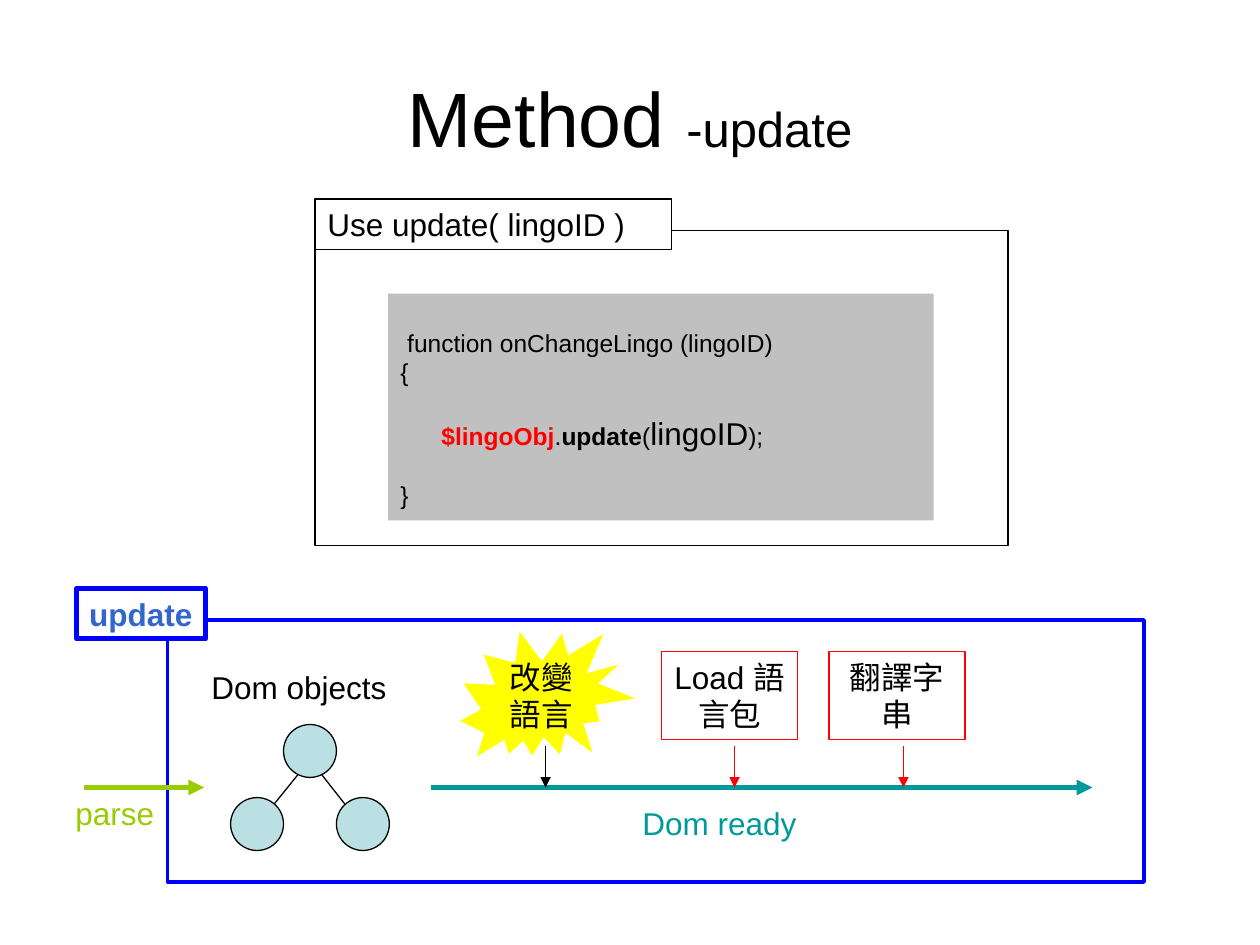
from dataclasses import dataclass
from typing import NamedTuple, Optional

from lxml.etree import SubElement
from pptx import Presentation
from pptx.dml.color import RGBColor as RGB
from pptx.enum.shapes import MSO_CONNECTOR as Conn, MSO_SHAPE as Shape
from pptx.enum.text import MSO_ANCHOR as Anchor, MSO_AUTO_SIZE as AutoSize, PP_ALIGN as Align
from pptx.oxml.ns import qn
from pptx.util import Inches, Pt


@dataclass(frozen=True)
class Theme:
    font: str = "Arial"
    title: int = 44
    subtitle: int = 28
    body: int = 18
    code: int = 14
    thin: float = 0.75
    medium: float = 2
    thick: float = 3
    black: str = "000000"
    white: str = "FFFFFF"
    grey: str = "C0C0C0"
    red: str = "FF0000"
    blue: str = "0000FF"
    label: str = "3366CC"
    yellow: str = "FFFF00"
    node: str = "BBE0E3"
    teal: str = "009999"
    green: str = "99CC00"


T = Theme()


class Run(NamedTuple):
    text: str
    size: int = T.body
    color: str = T.black
    bold: bool = False


class Box(NamedTuple):
    left: float
    top: float
    width: float
    height: float
    fill: Optional[str] = None
    line: Optional[str] = None
    weight: float = T.thin
    run: Optional[Run] = None
    align: Align = Align.LEFT
    kind: Shape = Shape.RECTANGLE
    wrap: bool = True
    rotation: float = 0


class Line(NamedTuple):
    x1: float
    y1: float
    x2: float
    y2: float
    color: str = T.black
    weight: float = T.thin
    arrow: bool = True


class CodeLine(NamedTuple):
    runs: list[Run]
    gap: float = 0


def add_run(p, run: Run) -> None:
    r = p.add_run()
    r.text = run.text
    r.font.name = T.font
    r.font.size = Pt(run.size)
    r.font.bold = run.bold
    r.font.color.rgb = RGB.from_string(run.color)


def add_box(s, box: Box):
    at = [Inches(v) for v in box[:4]]
    if box.fill or box.line:
        sp = s.shapes.add_shape(box.kind, *at)
        sp.shadow.inherit = False
    else:
        sp = s.shapes.add_textbox(*at)
    sp.rotation = box.rotation
    if box.fill:
        sp.fill.solid()
        sp.fill.fore_color.rgb = RGB.from_string(box.fill)
    else:
        sp.fill.background()
    if box.line:
        sp.line.color.rgb = RGB.from_string(box.line)
        sp.line.width = Pt(box.weight)
    else:
        sp.line.fill.background()
    tf = sp.text_frame
    tf.word_wrap = box.wrap
    tf.vertical_anchor = Anchor.TOP
    if box.run:
        tf.paragraphs[0].alignment = box.align
        add_run(tf.paragraphs[0], box.run)
    return sp


def add_line(s, line: Line) -> None:
    c = s.shapes.add_connector(Conn.STRAIGHT, *[Inches(v) for v in line[:4]])
    c.line.color.rgb = RGB.from_string(line.color)
    c.line.width = Pt(line.weight)
    if line.arrow:
        SubElement(c.line._get_or_add_ln(), qn("a:tailEnd"), type="triangle")
    SubElement(c._element.spPr, qn("a:effectLst"))


def add_title(s, runs: list[Run]) -> None:
    sp = s.shapes.title
    sp.left, sp.top, sp.width, sp.height = [Inches(v) for v in (0.5, 0.3, 9, 1.25)]
    tf = sp.text_frame
    tf.auto_size = AutoSize.NONE
    tf.vertical_anchor = Anchor.MIDDLE
    tf.paragraphs[0].alignment = Align.CENTER
    for run in runs:
        add_run(tf.paragraphs[0], run)


def add_code(s, box: Box, lines: list[CodeLine]) -> None:
    tf = add_box(s, box).text_frame
    tf.margin_top = Inches(0.27)
    for i, line in enumerate(lines):
        p = tf.add_paragraph() if i else tf.paragraphs[0]
        p.alignment = Align.LEFT
        p.space_before = Pt(line.gap)
        for run in line.runs:
            add_run(p, run)


def add_usage(s) -> None:
    add_box(s, Box(2.5, 1.83, 5.5, 2.5, T.white, T.black))
    add_box(s, Box(2.5, 1.58, 2.83, 0.4, T.white, T.black, run=Run("Use update( lingoID )")))
    add_code(s, Box(3.08, 2.33, 4.33, 1.8, T.grey), [
        CodeLine([Run(" function onChangeLingo (lingoID)", T.code)]),
        CodeLine([Run("{", T.code)]),
        CodeLine([
            Run("      ", T.code),
            Run("$lingoObj", T.code, T.red, True),
            Run(".", T.code),
            Run("update", T.code, bold=True),
            Run("(", T.code),
            Run("lingoID"),
            Run(");", T.code),
        ], gap=16),
        CodeLine([Run("}", T.code)], gap=16),
    ])


def add_tree(s) -> None:
    add_box(s, Box(1.58, 5.25, 1.92, 0.4, run=Run("Dom objects")))
    for x1, x2 in ((2.42, 2.08), (2.5, 2.83)):
        add_line(s, Line(x1, 6.08, x2, 6.5, arrow=False))
    for x, y in ((1.83, 6.33), (2.67, 6.33), (2.25, 5.75)):
        add_box(s, Box(x, y, 0.42, 0.42, T.node, T.black, kind=Shape.OVAL))


def add_timeline(s) -> None:
    add_line(s, Line(3.42, 6.25, 8.67, 6.25, T.teal, T.thick))
    add_box(s, Box(5, 6.33, 1.5, 0.4, run=Run("Dom ready", color=T.teal)))
    add_box(s, Box(1.33, 4.92, 7.75, 2.08, line=T.blue, weight=T.medium))
    steps = [
        (3.92, 0.75, "改變語言", None, 4.33, T.black),
        (5.25, 1.08, "Load 語言包", T.red, 5.83, T.red),
        (6.58, 1.08, "翻譯字串", T.red, 7.17, T.red),
    ]
    for left, width, text, border, x, color in steps:
        add_box(s, Box(left, 5.17, width, 0.7, line=border, run=Run(text), align=Align.CENTER))
        add_line(s, Line(x, 5.92, x, 6.25, color))


def main() -> None:
    prs = Presentation()
    prs.slide_width, prs.slide_height = Inches(10), Inches(7.5)
    s = prs.slides.add_slide(prs.slide_layouts[5])
    add_title(s, [Run("Method ", T.title), Run("-update", T.subtitle)])
    add_usage(s)
    add_box(s, Box(3.68, 4.91, 1.32, 1.26, T.yellow, kind=Shape.EXPLOSION2, rotation=20.4))
    add_tree(s)
    add_timeline(s)
    add_line(s, Line(0.67, 6.25, 1.62, 6.25, T.green, T.thick))
    add_box(s, Box(0.5, 6.25, 0.83, 0.4, run=Run("parse", color=T.green)))
    add_box(s, Box(0.61, 4.67, 1.02, 0.4, T.white, T.blue, T.thick,
                   Run("update", color=T.label, bold=True), wrap=False))
    prs.save("out.pptx")


if __name__ == "__main__":
    main()
